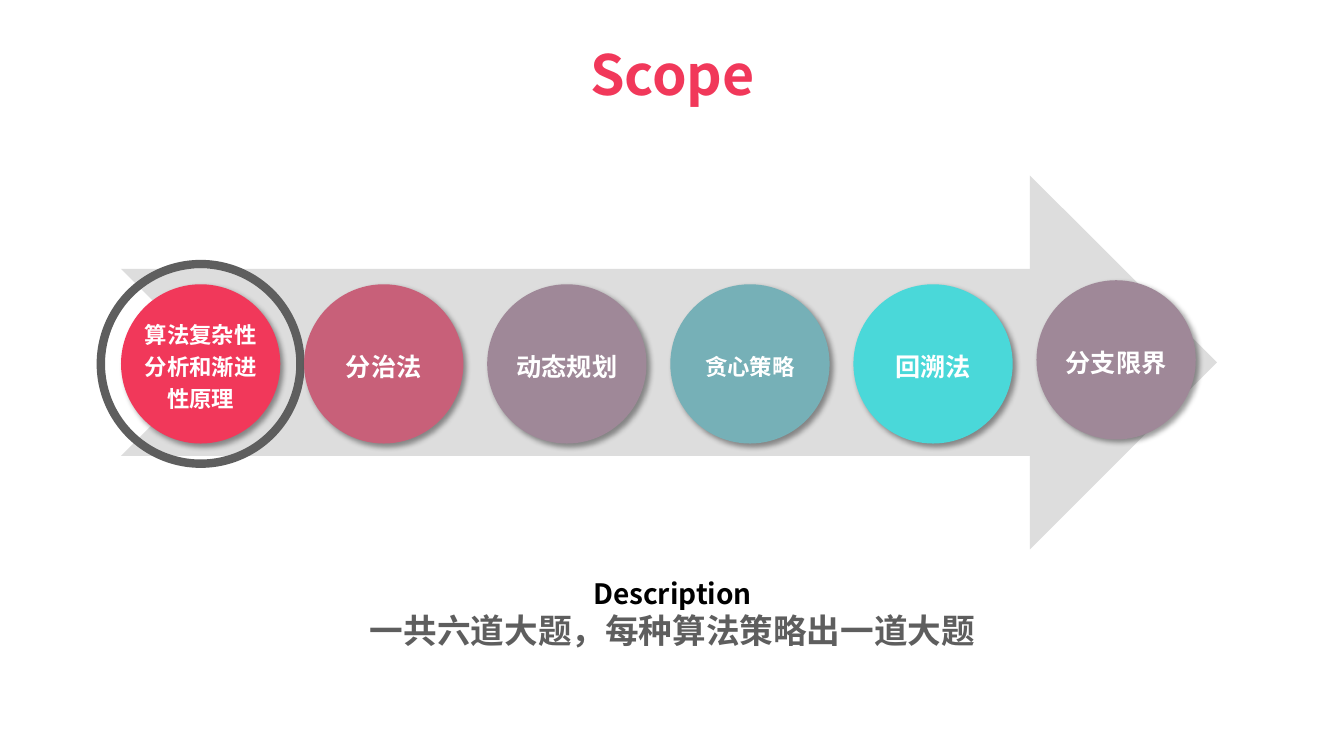
from lxml.etree import SubElement
from pptx import Presentation
from pptx.dml.color import RGBColor
from pptx.enum.shapes import MSO_SHAPE
from pptx.enum.text import MSO_ANCHOR, MSO_AUTO_SIZE, PP_ALIGN
from pptx.oxml.ns import qn
from pptx.util import Inches, Pt

FONT = "Noto Sans CJK SC"
COLORS = {
    "red": "F1385A",
    "rose": "C86079",
    "mauve": "9F8898",
    "teal": "76B0B7",
    "cyan": "4AD8D9",
    "arrow": "DDDDDD",
    "gray": "5E5E5E",
    "black": "000000",
    "white": "FFFFFF",
}
TOPICS = [
    ("算法复杂性分析和渐进性原理", 16, "red", 0),
    ("分治法", 18, "rose", 0),
    ("动态规划", 18, "mauve", 0),
    ("贪心策略", 16, "teal", 0),
    ("回溯法", 18, "cyan", 0),
    ("分支限界", 18, "mauve", -0.04),
]


def color(name):
    return RGBColor.from_string(COLORS[name])


def write_text(text_frame, text, size, color_name, line_spacing=1.0):
    text_frame.word_wrap = True
    text_frame.auto_size = MSO_AUTO_SIZE.NONE
    paragraph = text_frame.paragraphs[0]
    paragraph.alignment = PP_ALIGN.CENTER
    paragraph.line_spacing = line_spacing
    run = paragraph.add_run()
    run.text = text
    run.font.size = Pt(size)
    run.font.bold = True
    run.font.name = FONT
    run.font.color.rgb = color(color_name)
    SubElement(run.font._element, qn("a:ea"), typeface=FONT)


def add_shadow(shape):
    effects = shape._element.spPr.find(qn("a:effectLst"))
    shadow = SubElement(
        effects, qn("a:outerShdw"), blurRad=str(Pt(4)), dist=str(Pt(3)),
        dir="2700000", algn="tl", rotWithShape="0",
    )
    shadow_color = SubElement(shadow, qn("a:srgbClr"), val=COLORS["black"])
    SubElement(shadow_color, qn("a:alpha"), val="40000")


def add_preset(slide, preset, left, top, width, height, fill=None):
    shape = slide.shapes.add_shape(
        preset, Inches(left), Inches(top), Inches(width), Inches(height)
    )
    shape.shadow.inherit = False
    shape.line.fill.background()
    if fill:
        shape.fill.solid()
        shape.fill.fore_color.rgb = color(fill)
    else:
        shape.fill.background()
    return shape


def add_title(slide, left, top, width, height):
    title = slide.shapes.title
    title.left, title.top = Inches(left), Inches(top)
    title.width, title.height = Inches(width), Inches(height)
    title.text_frame.vertical_anchor = MSO_ANCHOR.MIDDLE
    write_text(title.text_frame, "Scope", 39.6, "red", 0.9)


def add_topic(slide, left, top, diameter, text, size, fill):
    circle = add_preset(slide, MSO_SHAPE.OVAL, left, top, diameter, diameter, fill)
    add_shadow(circle)
    frame = circle.text_frame
    frame.margin_left = frame.margin_right = 0
    frame.margin_top = frame.margin_bottom = Inches(0.16)
    frame.vertical_anchor = MSO_ANCHOR.MIDDLE
    write_text(frame, text, size, "white", 1.2)


def add_topic_arrow(slide, left, top, width, height):
    diameter, pitch, ring_gap = 1.58, 1.816, 0.2
    circle_top = top + 1.08
    add_preset(slide, MSO_SHAPE.NOTCHED_RIGHT_ARROW, left, top, width, height, "arrow")
    ring_size = diameter + 2 * ring_gap
    ring = add_preset(
        slide, MSO_SHAPE.OVAL, left - ring_gap, circle_top - ring_gap, ring_size, ring_size
    )
    ring.line.color.rgb = color("gray")
    ring.line.width = Pt(6)
    for index, (text, size, fill, shift) in enumerate(TOPICS):
        add_topic(
            slide, left + index * pitch, circle_top + shift, diameter, text, size, fill
        )


def add_label(slide, left, top, width, height, text, size, color_name, line_spacing):
    label = slide.shapes.add_textbox(
        Inches(left), Inches(top), Inches(width), Inches(height)
    )
    write_text(label.text_frame, text, size, color_name, line_spacing)


def add_description(slide, left, top, width):
    heading_width = 2.45
    add_label(
        slide, left, top + 0.38, width, 0.81,
        "一共六道大题，每种算法策略出一道大题", 24, "gray", 0.9,
    )
    add_label(
        slide, left + (width - heading_width) / 2, top, heading_width, 0.44,
        "Description", 20, "black", 1.0,
    )


def main():
    presentation = Presentation()
    presentation.slide_width = Inches(13.33)
    presentation.slide_height = Inches(7.5)
    slide = presentation.slides.add_slide(presentation.slide_layouts[5])
    slide.background.fill.solid()
    slide.background.fill.fore_color.rgb = color("white")
    add_title(slide, 1.82, 0.4, 9.7, 0.73)
    add_topic_arrow(slide, 1.2, 1.74, 10.87, 3.71)
    add_description(slide, 1.22, 5.67, 10.9)
    presentation.save("out.pptx")


if __name__ == "__main__":
    main()
